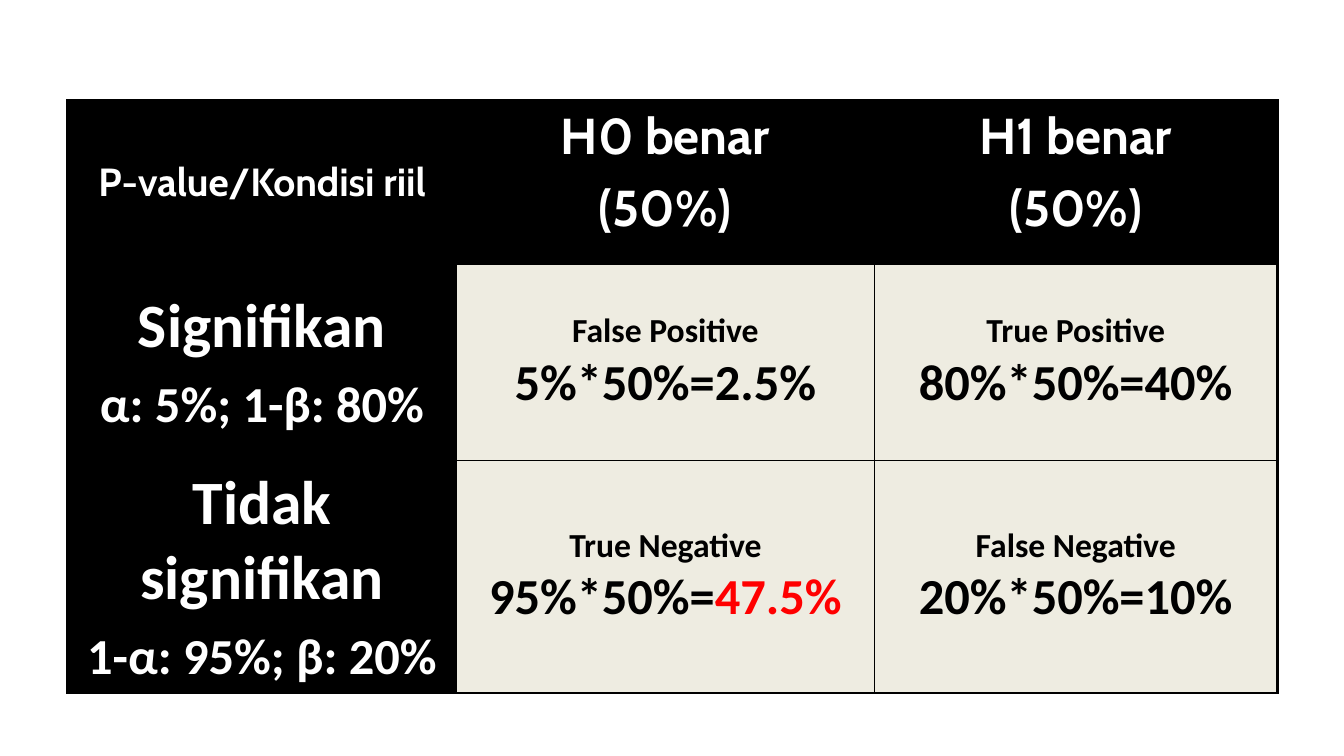
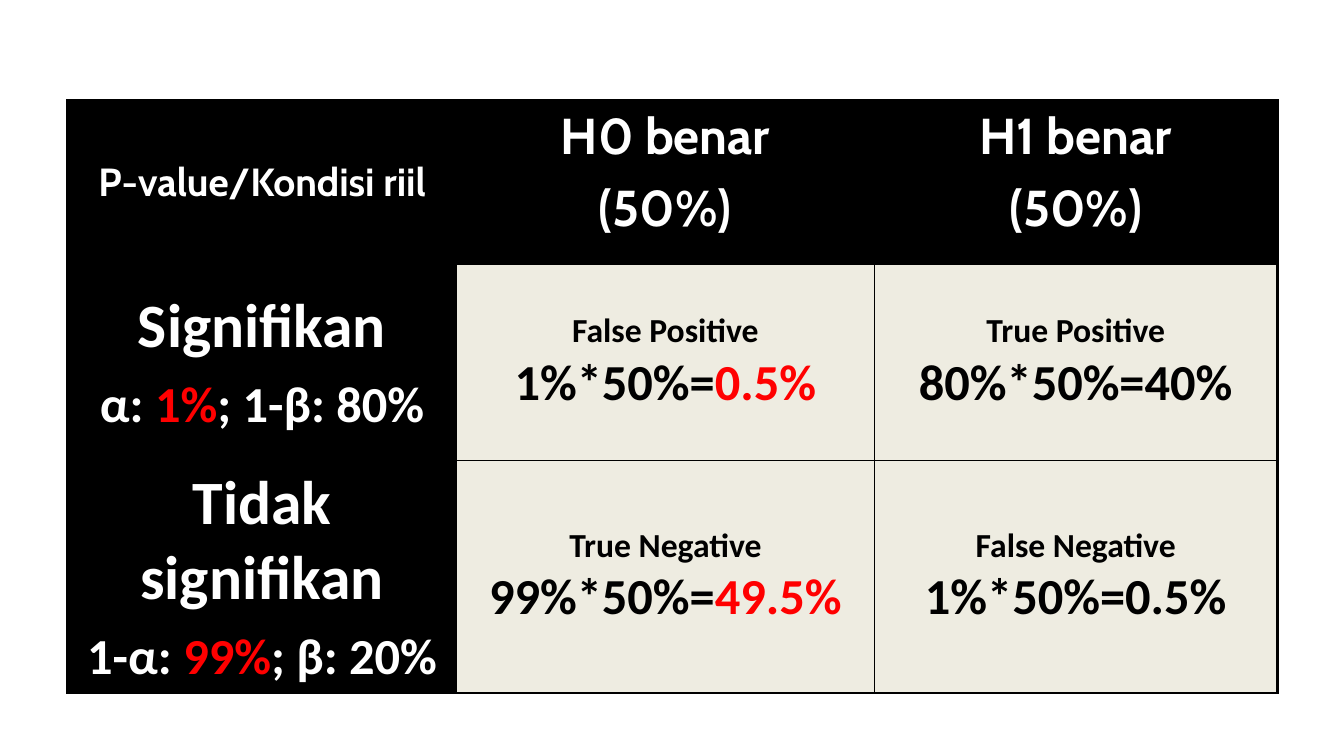
"""Build two slides that compare true and false test results in a table."""
from dataclasses import dataclass
from lxml.etree import SubElement
from pptx import Presentation
from pptx.dml.color import RGBColor as Rgb
from pptx.enum.text import MSO_ANCHOR as Anchor, PP_ALIGN as Align
from pptx.oxml.ns import qn
from pptx.util import Inches, Pt


@dataclass(frozen=True)
class Theme:
    dark: str = "000000"
    light: str = "FFFFFF"
    cream: str = "EEECE1"
    red: str = "FF0000"
    head: str = "Cabin"
    body: str = "Calibri"
    huge: int = 44
    big: int = 36
    mid: int = 28
    small: int = 24
    thick: float = 2.25
    thin: float = 1


THEME = Theme()
COLS = (3.86, 4.14, 4)
ROWS = (1.62, 1.95, 2.29)
HEADS = (("P-value/Kondisi riil",), ("H0 benar", "(50%)"), ("H1 benar", "(50%)"))
CASES = (
    (
        (("Signifikan", "α: 5%; 1-β: 80%"),
         ("False Positive", "5%*50%=2.5%"),
         ("True Positive", "80%*50%=40%")),
        (("Tidak signifikan", "1-α: 95%; β: 20%"),
         ("True Negative", "95%*50%=|47.5%"),
         ("False Negative", "20%*50%=10%")),
    ),
    (
        (("Signifikan", "α: |1%|; 1-β: 80%"),
         ("False Positive", "1%*50%=|0.5%"),
         ("True Positive", "80%*50%=40%")),
        (("Tidak signifikan", "1-α: |99%|; β: 20%"),
         ("True Negative", "99%*50%=|49.5%"),
         ("False Negative", "1%*50%=0.5%")),
    ),
)


def add_line(para, text, size, face, color, gap):
    """Fill a paragraph; every second part between bars is red."""
    para.alignment = Align.CENTER
    if gap:
        space = SubElement(para._p.get_or_add_pPr(), qn("a:spcBef"))
        SubElement(space, qn("a:spcPct"), val="20000")
    font = para.font
    font.name, font.size, font.bold = face, Pt(size), True
    font.color.rgb = Rgb.from_string(color)
    for num, part in enumerate(text.split("|")):
        run = para.add_run()
        run.text = part
        if num % 2:
            run.font.color.rgb = Rgb.from_string(THEME.red)


def set_edges(cell, row, col):
    """Draw thick lines on the table's rim and thin ones inside."""
    rims = {"L": col == 0, "R": col == len(COLS) - 1,
            "T": row == 0, "B": row == len(ROWS) - 1}
    props = cell._tc.get_or_add_tcPr()
    for side, rim in rims.items():
        width = Pt(THEME.thick if rim else THEME.thin)
        line = SubElement(props, qn(f"a:ln{side}"), w=str(width))
        fill = SubElement(line, qn("a:solidFill"))
        SubElement(fill, qn("a:srgbClr"), val=THEME.dark)


def fill_cell(cell, row, col, lines):
    """Style one cell by its place and write its lines."""
    title = row == 0 or col == 0
    face = THEME.body if row else THEME.head
    color = THEME.light if title else THEME.dark
    if row == 0:
        first = THEME.big if col else THEME.mid
    else:
        first = THEME.small if col else THEME.huge
    set_edges(cell, row, col)
    cell.fill.solid()
    cell.fill.fore_color.rgb = Rgb.from_string(THEME.dark if title else THEME.cream)
    cell.vertical_anchor = Anchor.TOP if row == 0 and col else Anchor.MIDDLE
    frame = cell.text_frame
    for num, text in enumerate(lines):
        para = frame.add_paragraph() if num else frame.paragraphs[0]
        add_line(para, text, THEME.big if num else first, face, color, title)


def add_grid(slide, data):
    """Add the table with its header row and the given rows."""
    table = slide.shapes.add_table(
        len(ROWS), len(COLS), Inches(0.67), Inches(1),
        Inches(sum(COLS)), Inches(sum(ROWS))).table
    table.first_row = table.horz_banding = False
    for col, width in zip(table.columns, COLS):
        col.width = Inches(width)
    for row, height in zip(table.rows, ROWS):
        row.height = Inches(height)
    for row, cells in enumerate((HEADS, *data)):
        for col, lines in enumerate(cells):
            fill_cell(table.cell(row, col), row, col, lines)


def main():
    """Build and save the deck."""
    deck = Presentation()
    deck.slide_width, deck.slide_height = Inches(13.33), Inches(7.5)
    for data in CASES:
        add_grid(deck.slides.add_slide(deck.slide_layouts[6]), data)
    deck.save("out.pptx")


if __name__ == "__main__":
    main()
